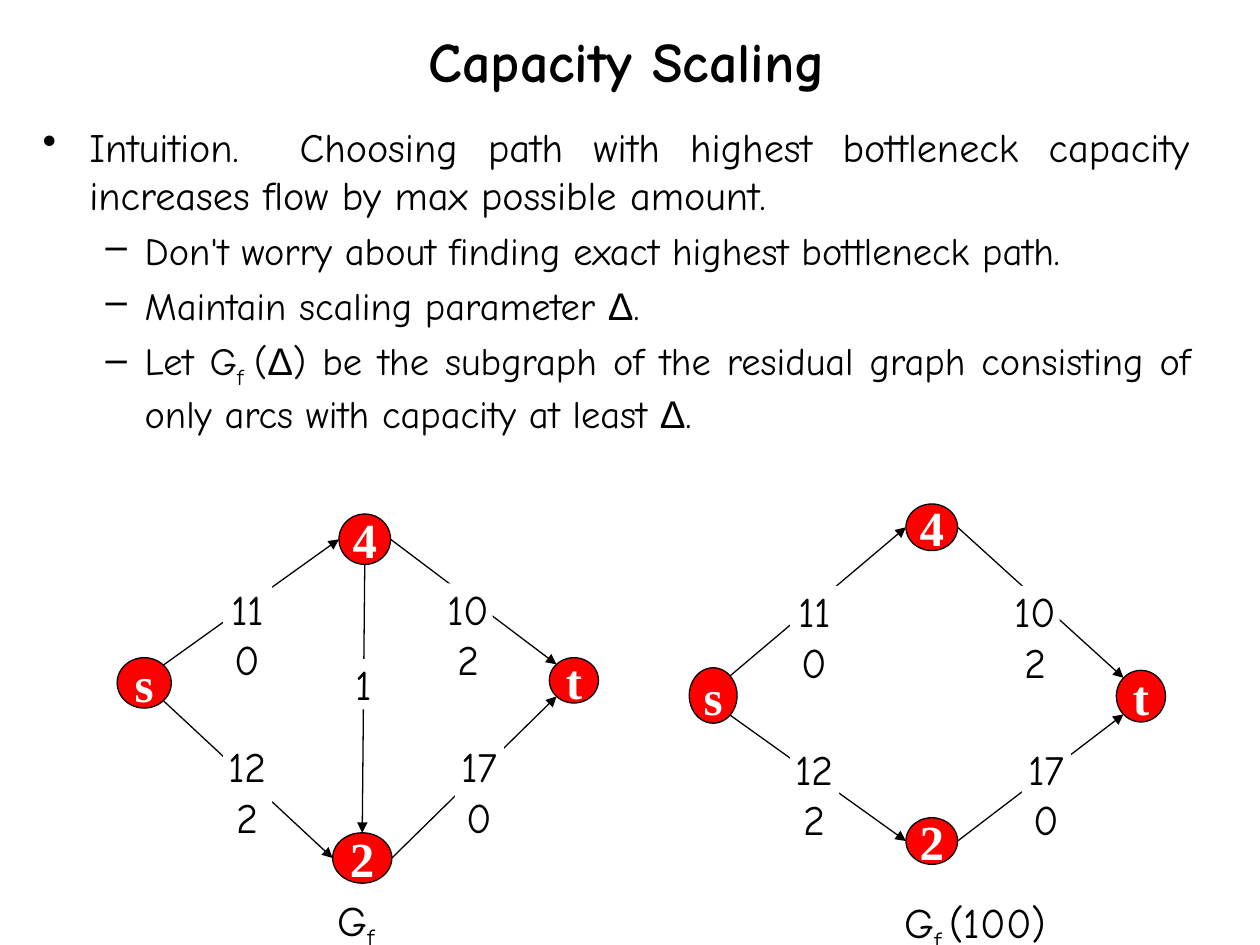
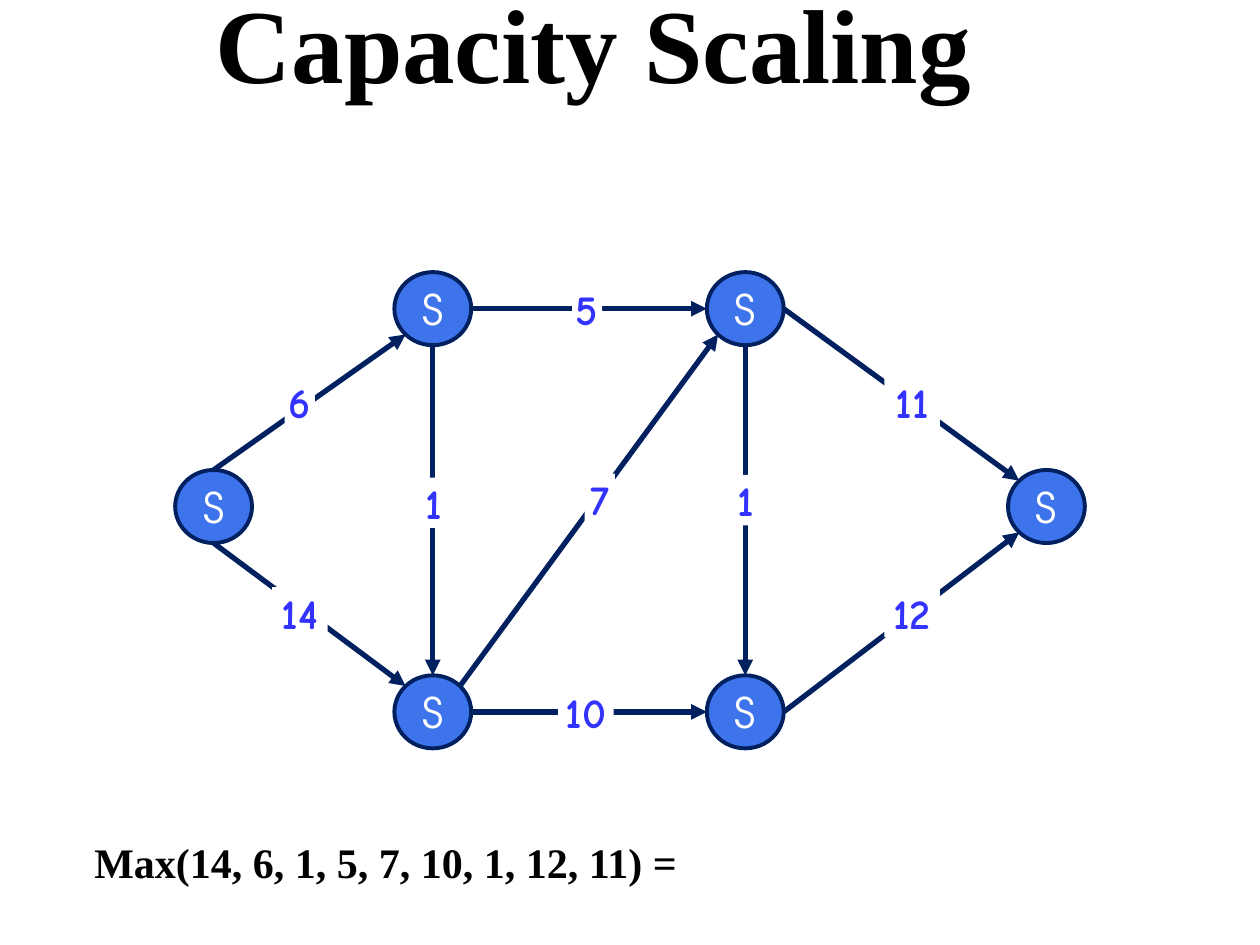
import math

from lxml import etree
from pptx import Presentation
from pptx import util as u
from pptx.dml import color
from pptx.enum import shapes, text
from pptx.oxml import ns

BLACK, WHITE, RED = "000000", "FFFFFF", "FF0000"
BLUE, NAVY, LABEL_BLUE = "3D73EB", "002060", "3333FF"
COMIC, TIMES, GREEK = "Comic Neue", "Times New Roman", "Arial"
CENTER, JUSTIFY = text.PP_ALIGN.CENTER, text.PP_ALIGN.JUSTIFY
TOP, MIDDLE, BOTTOM = text.MSO_ANCHOR.TOP, text.MSO_ANCHOR.MIDDLE, text.MSO_ANCHOR.BOTTOM

# Points on a node's rim, as degrees clockwise from the right
RIM = {"right": 0, "lower right": 45, "bottom": 90, "lower left": 135,
       "left": 180, "upper left": 225, "top": 270, "upper right": 315}

DELTA = ("Δ", {"font": GREEK})


def rgb(value):
    return color.RGBColor.from_string(value)


def add_xml(parent, tag, **attributes):
    return etree.SubElement(parent, ns.qn(tag), attributes)


def rim_point(box, site):
    left, top, width, height = box
    angle = math.radians(RIM[site])
    return (left + width / 2 * (1 + math.cos(angle)),
            top + height / 2 * (1 + math.sin(angle)))


def set_bullet(paragraph, char, margin, hanging):
    properties = paragraph._p.get_or_add_pPr()
    properties.set("marL", str(u.Inches(margin)))
    properties.set("indent", str(-u.Inches(hanging)))
    bullet_color = add_xml(properties, "a:buClr")
    add_xml(bullet_color, "a:srgbClr", val=BLACK)
    add_xml(properties, "a:buChar", char=char)


def write(paragraph, content, font=COMIC, size=24, ink=BLACK, bold=False,
          align=None, before=0):
    """Fill a paragraph; content is a string or a list of strings and (string, format) runs."""
    paragraph.alignment = align
    paragraph.space_before = u.Pt(before)
    for part in [content] if isinstance(content, str) else content:
        words, extra = (part, {}) if isinstance(part, str) else part
        run = paragraph.add_run()
        run.text = words
        run.font.name = extra.get("font", font)
        run.font.size = u.Pt(size)
        run.font.bold = bold
        run.font.color.rgb = rgb(ink)
        if extra.get("sub"):
            run.font._element.set("baseline", "-25000")


class Deck:
    """Holds the presentation, the current slide and the style of its graph."""

    def __init__(self):
        self.prs = Presentation()
        self.prs.slide_width, self.prs.slide_height = u.Inches(10), u.Inches(7.5)

    def new_slide(self, node_fill, rim_color, rim_width, edge_width, node_text, label_text):
        self.slide = self.prs.slides.add_slide(self.prs.slide_layouts[6])
        self.node_fill, self.rim_color, self.rim_width = node_fill, rim_color, rim_width
        self.edge_width, self.node_text, self.label_text = edge_width, node_text, label_text

    def text_box(self, box, *contents, anchor=TOP, **style):
        frame = self.slide.shapes.add_textbox(*map(u.Inches, box)).text_frame
        frame.word_wrap = True
        frame.vertical_anchor = anchor
        for index, content in enumerate(contents):
            paragraph = frame.add_paragraph() if index else frame.paragraphs[0]
            write(paragraph, content, **style)
        return frame

    def title(self, box, words, **style):
        self.text_box(box, words, anchor=BOTTOM, bold=True, align=CENTER, **style)

    def outline(self, box, items):
        """Justified bullet list of (level, content) items."""
        frame = self.text_box(box)
        for index, (level, content) in enumerate(items):
            paragraph = frame.add_paragraph() if index else frame.paragraphs[0]
            paragraph.level = level
            write(paragraph, content, size=22 if level else 23, align=JUSTIFY, before=5)
            set_bullet(paragraph, *(("–", 0.81, 0.31) if level else ("•", 0.37, 0.37)))

    def filled(self, kind, box, fill, words, anchor, wrap, style):
        shape = self.slide.shapes.add_shape(kind, *map(u.Inches, box))
        shape.shadow.inherit = False
        shape.fill.solid()
        shape.fill.fore_color.rgb = rgb(fill)
        shape.line.fill.background()
        frame = shape.text_frame
        frame.margin_left = frame.margin_right = frame.margin_top = frame.margin_bottom = 0
        frame.vertical_anchor = anchor
        frame.word_wrap = wrap
        write(frame.paragraphs[0], words, align=CENTER, **style)
        return shape

    def node(self, box, name):
        shape = self.filled(shapes.MSO_SHAPE.OVAL, box, self.node_fill, name,
                            MIDDLE, False, self.node_text)
        shape.line.color.rgb = rgb(self.rim_color)
        shape.line.width = u.Pt(self.rim_width)

    def label(self, box, words):
        shape = self.filled(shapes.MSO_SHAPE.RECTANGLE, box, WHITE, words,
                            TOP, True, self.label_text)
        shape.text_frame.auto_size = text.MSO_AUTO_SIZE.SHAPE_TO_FIT_TEXT

    def edge(self, start, end):
        arrow = self.slide.shapes.add_connector(
            shapes.MSO_CONNECTOR.STRAIGHT, *map(u.Inches, (*start, *end)))
        arrow.line.color.rgb = rgb(self.rim_color)
        arrow.line.width = u.Pt(self.edge_width)
        add_xml(arrow.line._get_or_add_ln(), "a:tailEnd", type="triangle")
        add_xml(arrow._element.spPr, "a:effectLst")

    def graph(self, nodes, edges, labels):
        """Nodes map a key to (box, name); edges are (key, site, key, site)."""
        for box, name in nodes.values():
            self.node(box, name)
        for source, exit_site, target, entry_site in edges:
            self.edge(rim_point(nodes[source][0], exit_site),
                      rim_point(nodes[target][0], entry_site))
        for box, capacity in labels:
            self.label(box, capacity)


def residual_slide(deck):
    deck.new_slide(RED, BLACK, 0.75, 0.75,
                   node_text=dict(font=TIMES, size=28, ink=WHITE, bold=True),
                   label_text=dict(before=8.8))
    deck.title((0.83, 0.08, 8.3, 0.71), "Capacity Scaling", size=32)
    sub_f = ("f ", {"sub": True})
    deck.outline((0.24, 0.92, 9.31, 3.03), [
        (0, "Intuition.  Choosing path with highest bottleneck capacity "
            "increases flow by max possible amount."),
        (1, "Don't worry about finding exact highest bottleneck path."),
        (1, ["Maintain scaling parameter ", DELTA, "."]),
        (1, ["Let G", sub_f, "(", DELTA,
             ") be the subgraph of the residual graph consisting of only arcs "
             "with capacity at least ", DELTA, "."]),
    ])

    outer_edges = [("s", "upper right", "4", "left"), ("s", "lower right", "2", "left"),
                   ("4", "right", "t", "upper left"), ("2", "right", "t", "lower left")]
    capacities = [(1.77, 4.63, "110"), (3.52, 4.63, "102"),
                  (1.77, 5.88, "122"), (3.61, 5.88, "170")]

    def residual_graph(boxes, dx=0, dy=0, extra_edges=(), extra_labels=()):
        labels = [((x + dx, y + dy, 0.39, 0.81), value) for x, y, value in capacities]
        deck.graph({name: (box, name) for name, box in boxes.items()},
                   [*outer_edges, *extra_edges], [*labels, *extra_labels])

    residual_graph({"s": (0.93, 5.22, 0.43, 0.4), "4": (2.69, 4.08, 0.41, 0.4),
                    "2": (2.64, 6.61, 0.47, 0.4), "t": (4.36, 5.22, 0.39, 0.36)},
                   extra_edges=[("4", "bottom", "2", "top")],
                   extra_labels=[((2.73, 5.23, 0.31, 0.4), "1")])
    residual_graph({"s": (5.47, 5.3, 0.38, 0.44), "4": (7.19, 4, 0.41, 0.37),
                    "2": (7.19, 6.49, 0.41, 0.37), "t": (8.86, 5.32, 0.39, 0.41)},
                   dx=4.5, dy=0.02)
    deck.text_box((2.58, 7.05, 0.67, 0.5), ["G", ("f", {"sub": True})], before=8.8)
    deck.text_box((7.08, 7.07, 1.43, 0.5), ["G", sub_f, "(100)"], before=8.8)


def max_capacity_slide(deck):
    deck.new_slide(BLUE, NAVY, 2.25, 3,
                   node_text=dict(font="TeX Gyre Adventor", ink=WHITE),
                   label_text=dict(ink=LABEL_BLUE, bold=True))
    deck.title((0.4, 0, 8.62, 0.88), "Capacity Scaling", font=TIMES, size=60)

    corners = {"source": (1.39, 3.73), "upper a": (3.13, 2.16), "lower a": (3.13, 5.36),
               "upper b": (5.61, 2.16), "lower b": (5.61, 5.36), "sink": (8, 3.73)}
    edges = [("source", "bottom", "lower a", "upper left"),
             ("source", "top", "upper a", "lower left"),
             ("lower a", "right", "lower b", "left"),
             ("upper a", "right", "upper b", "left"),
             ("upper a", "bottom", "lower a", "top"),
             ("upper b", "bottom", "lower b", "top"),
             ("lower b", "right", "sink", "lower left"),
             ("upper b", "right", "sink", "upper left"),
             ("lower a", "upper right", "upper b", "lower left")]
    capacities = [(4.66, 2.25, "5"), (4.65, 5.45, "10"), (3.44, 3.79, "1"),
                  (5.92, 3.77, "1"), (7.24, 4.66, "12"), (7.24, 2.99, "11"),
                  (2.38, 2.99, "6"), (2.38, 4.66, "14"), (4.76, 3.76, "7")]
    labels = []
    for center, top, value in capacities:
        width = 0.24 if len(value) == 1 else 0.44
        labels.append(((center - width / 2, top, width, 0.4), value))
    deck.graph({key: ((*corner, 0.61, 0.58), "S") for key, corner in corners.items()},
               edges, labels)
    deck.text_box((0.65, 6.56, 4.94, 0.53), "Max(14, 6, 1, 5, 7, 10, 1, 12, 11) =",
                  anchor=BOTTOM, font=TIMES, bold=True)


def main():
    deck = Deck()
    residual_slide(deck)
    max_capacity_slide(deck)
    deck.prs.save("out.pptx")


if __name__ == "__main__":
    main()
